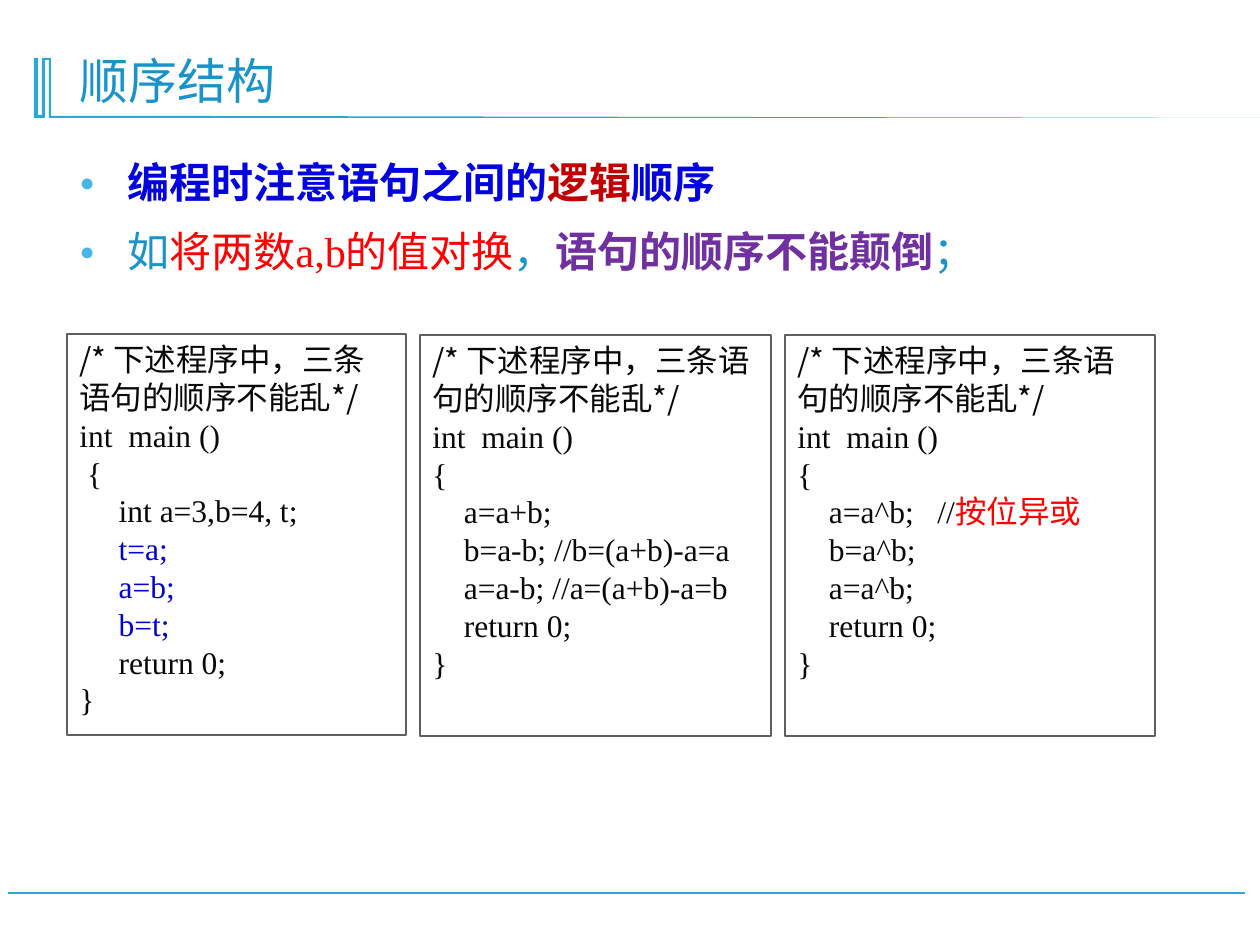
from pptx import Presentation
from pptx import util as u
from pptx.dml.color import RGBColor
from pptx.enum import shapes, text
from pptx.oxml.ns import qn
from lxml import etree

CYAN = RGBColor(0x28, 0xA9, 0xD6)
TEAL = RGBColor(0x1A, 0x93, 0xC8)
BULLET = RGBColor(0x47, 0xB6, 0xE7)
BLUE = RGBColor(0x03, 0x03, 0xDF)
CODE_BLUE = RGBColor(0x00, 0x00, 0xCC)
DARK_RED = RGBColor(0xC0, 0x00, 0x00)
RED = RGBColor(0xFF, 0x00, 0x00)
PURPLE = RGBColor(0x70, 0x30, 0xA0)
INK = RGBColor(0x08, 0x08, 0x08)
GRAY = RGBColor(0x5F, 0x5F, 0x5F)
WHITE = RGBColor(0xFF, 0xFF, 0xFF)
SERIF, SANS = "Times New Roman", "Noto Sans CJK SC"
SCALE = 914400 / 126


def px(length):
    return u.Emu(round(length * SCALE))


class SlideBuilder:
    """Holds the style and the current slide."""

    def __init__(self, presentation):
        self.slide = presentation.slides.add_slide(presentation.slide_layouts[1])

    def place(self, shape, left, top, width, height):
        shape.left, shape.top = px(left), px(top)
        shape.width, shape.height = px(width), px(height)

    def add_runs(self, paragraph, runs, size, color, latin=SERIF):
        font = paragraph.font
        font.size, font.name = u.Pt(size), latin
        font.color.rgb = color
        east_asian = etree.SubElement(paragraph._p.pPr.find(qn("a:defRPr")), qn("a:ea"))
        east_asian.set("typeface", SANS)
        for words, run_color, bold in runs:
            run = paragraph.add_run()
            run.text = words
            if run_color is not None:
                run.font.color.rgb = run_color
            if bold:
                run.font.bold = True

    def title(self, words, *box):
        shape = self.slide.shapes.title
        self.place(shape, *box)
        frame = shape.text_frame
        frame.auto_size = text.MSO_AUTO_SIZE.NONE
        frame.vertical_anchor = text.MSO_ANCHOR.BOTTOM
        paragraph = frame.paragraphs[0]
        paragraph.alignment = text.PP_ALIGN.LEFT
        paragraph.line_spacing = 0.9
        self.add_runs(paragraph, [(words, None, False)], 28, TEAL)

    def bullets(self, items, *box):
        shape = self.slide.placeholders[1]
        self.place(shape, *box)
        frame = shape.text_frame
        frame.auto_size = text.MSO_AUTO_SIZE.NONE
        for index, runs in enumerate(items):
            paragraph = frame.add_paragraph() if index else frame.paragraphs[0]
            paragraph.line_spacing = 0.9
            paragraph.space_before = u.Pt(13.5 if index else 0)
            properties = paragraph._p.get_or_add_pPr()
            properties.set("marL", str(px(48)))
            properties.set("indent", str(-px(48)))
            bullet_color = etree.SubElement(properties, qn("a:buClr"))
            etree.SubElement(bullet_color, qn("a:srgbClr")).set("val", str(BULLET))
            etree.SubElement(properties, qn("a:buSzPct")).set("val", "60000")
            etree.SubElement(properties, qn("a:buChar")).set("char", "●")
            self.add_runs(paragraph, runs, 24, TEAL)

    def code_box(self, lines, line_width, *box):
        shape = self.slide.shapes.add_shape(
            shapes.MSO_SHAPE.RECTANGLE, *(px(length) for length in box))
        shape.shadow.inherit = False
        shape.fill.solid()
        shape.fill.fore_color.rgb = WHITE
        shape.line.color.rgb = GRAY
        shape.line.width = u.Pt(line_width)
        frame = shape.text_frame
        frame.word_wrap = True
        frame.vertical_anchor = text.MSO_ANCHOR.TOP
        for index, runs in enumerate(lines):
            paragraph = frame.add_paragraph() if index else frame.paragraphs[0]
            paragraph.alignment = text.PP_ALIGN.LEFT
            if isinstance(runs, str):
                runs = [(runs, None, False)]
            self.add_runs(paragraph, runs, 18, INK, SERIF if index else SANS)

    def rule(self, start_x, start_y, end_x, end_y):
        line = self.slide.shapes.add_connector(
            shapes.MSO_CONNECTOR.STRAIGHT, px(start_x), px(start_y), px(end_x), px(end_y))
        line.line.color.rgb = CYAN
        line.line.width = u.Pt(1.25)
        etree.SubElement(line._element.spPr, qn("a:effectLst"))

    def outline(self, points):
        builder = self.slide.shapes.build_freeform(*points[0], scale=SCALE)
        builder.add_line_segments(points[1:], close=True)
        shape = builder.convert_to_shape()
        shape.shadow.inherit = False
        shape.fill.solid()
        shape.fill.fore_color.rgb = CYAN
        shape.line.fill.background()


def main():
    presentation = Presentation()
    presentation.slide_width, presentation.slide_height = px(1260), px(945)
    builder = SlideBuilder(presentation)
    builder.rule(1245, 893, 8, 893)
    builder.outline([
        (51, 58), (51, 116), (176, 116), (1271, 118), (49, 118), (49, 60), (45, 60),
        (45, 118), (34, 118), (34, 58), (38, 58), (38, 115), (42, 115), (42, 58)])
    builder.title("顺序结构", 67, 35, 1115, 81)
    builder.bullets([
        [("编程时注意语句之间的", BLUE, True), ("逻辑", DARK_RED, True), ("顺序", BLUE, True)],
        [("如", None, False), ("将两数a,b的值对换", RED, False), ("，", None, False),
         ("语句的顺序不能颠倒", PURPLE, True), ("；", None, False)],
    ], 67, 156, 1115, 737)

    header = ["/* 下述程序中，三条语句的顺序不能乱*/", "int  main ()"]
    swap = [[(f"     {step}", CODE_BLUE, False)] for step in ("t=a;", "a=b;", "b=t;")]
    temporary = [" {", "     int a=3,b=4, t;", *swap, "     return 0;", "}"]
    ending = ["    return 0;", "}"]
    arithmetic = ["{", "    a=a+b;", "    b=a-b; //b=(a+b)-a=a",
                  "    a=a-b; //a=(a+b)-a=b", *ending]
    bitwise = ["{", [("    a=a^b;   //", None, False), ("按位异或", RED, False)],
               "    b=a^b;", "    a=a^b;", *ending]
    for lines, line_width, left, top, width in (
            (temporary, 0.75, 67, 334, 339),
            (arithmetic, 1, 420, 335, 351),
            (bitwise, 1, 785, 335, 370)):
        builder.code_box(header + lines, line_width, left, top, width, 401)
    presentation.save("out.pptx")


if __name__ == "__main__":
    main()
